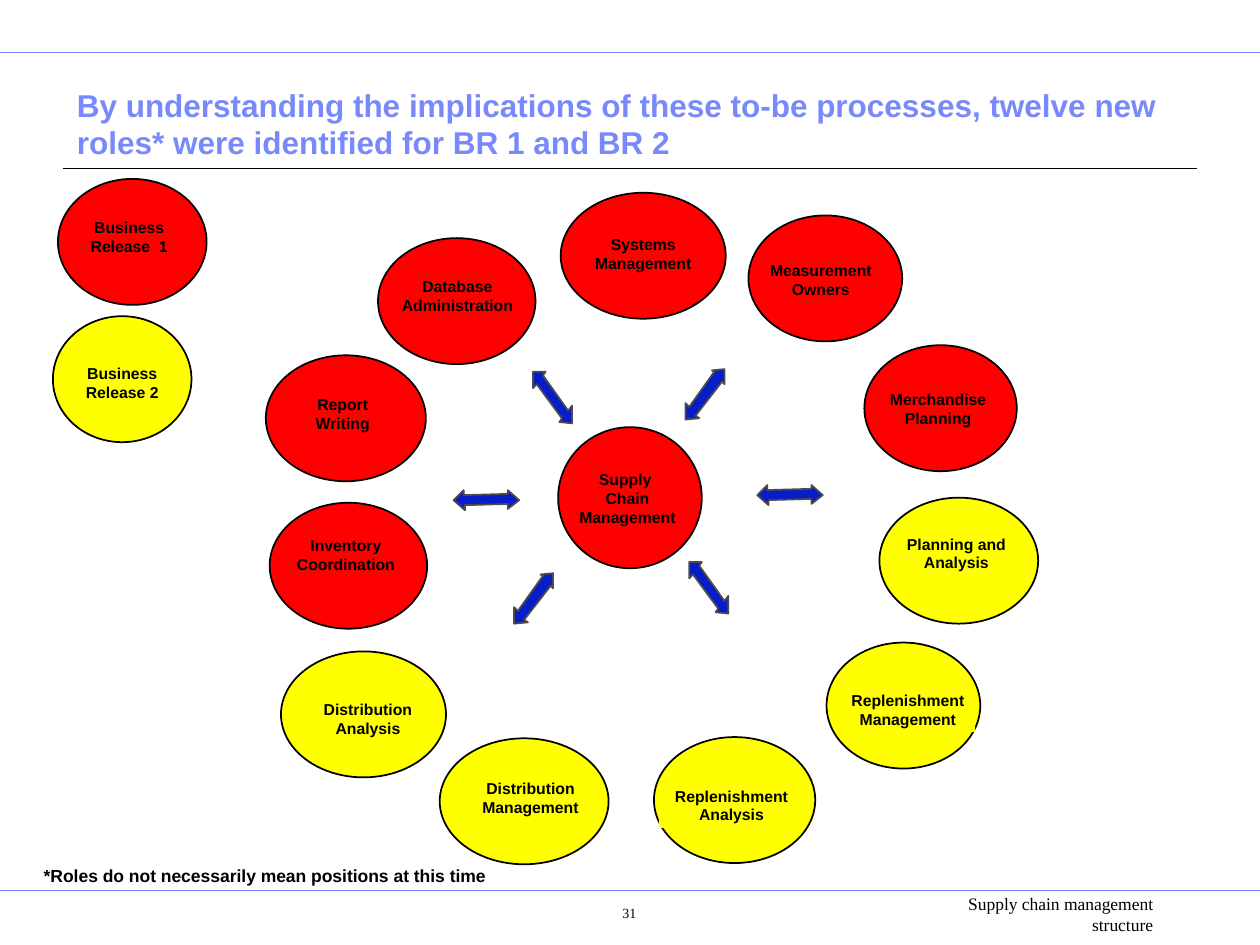
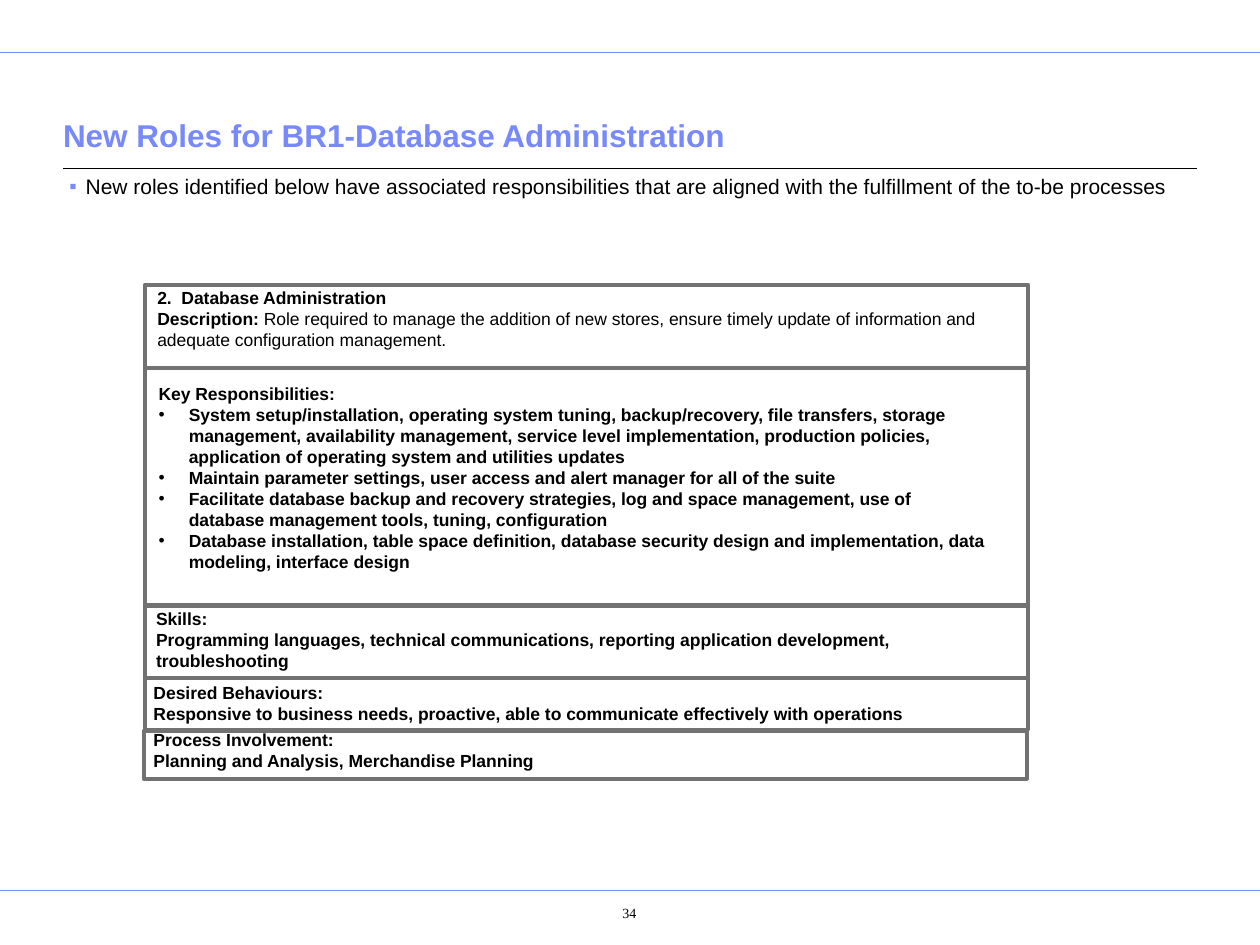
from dataclasses import dataclass
from typing import Any

from lxml import etree
from pptx import Presentation
from pptx.dml.color import RGBColor
from pptx.enum.shapes import MSO_CONNECTOR, MSO_SHAPE
from pptx.enum.text import MSO_ANCHOR, MSO_AUTO_SIZE, PP_ALIGN
from pptx.oxml.ns import qn
from pptx.util import Inches, Pt

PERIWINKLE = RGBColor(0x78, 0x89, 0xFB)
BLACK = RGBColor(0x00, 0x00, 0x00)
RED = RGBColor(0xFF, 0x00, 0x00)
YELLOW = RGBColor(0xFF, 0xFF, 0x00)
ARROW_BLUE = RGBColor(0x06, 0x1D, 0xC8)
ARROW_EDGE = RGBColor(0x4C, 0x4C, 0x4C)
FRAME_GRAY = RGBColor(0x72, 0x72, 0x72)

SANS, SERIF = "Arial", "Times New Roman"
TITLE_FONT = {"name": SANS, "size": Pt(18), "bold": True, "color": PERIWINKLE}
LEAD_FONT = {"name": SANS, "size": Pt(12), "bold": False, "color": BLACK}
ROLE_FONT = {"name": SANS, "size": Pt(9), "bold": True, "color": BLACK}
DETAIL_FONT = {"name": SANS, "size": Pt(10), "bold": True, "color": BLACK}
FOOTER_FONT = {"name": SERIF, "size": Pt(10), "bold": False, "color": BLACK}
NUMBER_FONT = {**FOOTER_FONT, "size": Pt(8)}

TITLE_ONLY, TITLE_AND_BODY = 5, 1
Box = tuple[float, float, float, float]
Point = tuple[float, float]


@dataclass(frozen=True)
class Rule:
    start: Point
    end: Point
    color: RGBColor
    weight: float


@dataclass(frozen=True)
class Role:
    lines: tuple[str, ...]
    color: RGBColor
    oval: Box
    caption: Box
    wrap: bool = True


@dataclass(frozen=True)
class Para:
    text: str
    lead: str = ""
    bold: bool = True
    bullet: bool = False


@dataclass(frozen=True)
class Section:
    frame: Box
    text_box: Box
    paras: tuple[Para, ...]
    wrap: bool = True


RULES = (
    Rule((0, 0.42), (10, 0.42), PERIWINKLE, 0.5),
    Rule((0, 7.07), (10, 7.07), PERIWINKLE, 0.5),
    Rule((0.5, 1.34), (9.5, 1.34), BLACK, 0.75),
)

ROLES = (
    Role(("Supply ", "Chain", "Management"), RED,
         (4.43, 3.39, 1.14, 1.12), (4.55, 3.71, 0.86, 0.5), wrap=False),
    Role(("Systems Management",), RED, (4.45, 1.53, 1.31, 1), (4.64, 1.84, 0.93, 0.35)),
    Role(("Measurement Owners",), RED, (5.94, 1.71, 1.22, 1), (6.05, 2.05, 0.93, 0.35)),
    Role(("Merchandise", "Planning"), RED, (6.86, 2.74, 1.21, 1), (6.99, 3.07, 0.91, 0.35)),
    Role(("Planning and Analysis",), YELLOW, (6.98, 3.95, 1.26, 1), (7.13, 4.22, 0.92, 0.35)),
    Role(("Replenishment Management",), YELLOW, (6.56, 5.1, 1.22, 1), (6.67, 5.46, 1.07, 0.35)),
    Role(("Replenishment Analysis",), YELLOW, (5.19, 5.85, 1.28, 1), (5.23, 6.22, 1.15, 0.35)),
    Role(("Distribution Management",), YELLOW, (3.49, 5.86, 1.34, 1), (3.77, 6.16, 0.88, 0.35)),
    Role(("Distribution Analysis",), YELLOW, (2.23, 5.17, 1.31, 1), (2.46, 5.53, 0.92, 0.35)),
    Role(("Inventory Coordination",), RED, (2.14, 3.99, 1.25, 1), (2.24, 4.23, 1.01, 0.35)),
    Role(("Report Writing",), RED, (2.11, 2.82, 1.27, 1), (2.37, 3.11, 0.7, 0.35)),
    Role(("Database Administration",), RED, (3, 1.89, 1.25, 1), (3.1, 2.18, 1.06, 0.35)),
    Role(("Business Release  1",), RED, (0.46, 1.42, 1.18, 1), (0.62, 1.71, 0.81, 0.35)),
    Role(("Business Release 2",), YELLOW, (0.42, 2.51, 1.1, 1), (0.62, 2.87, 0.7, 0.35)),
)

# Double-headed arrow outlines, in inches from their top left corner
FALLING = ((0.31, 0.41), (0.31, 0.27), (0.28, 0.31), (0.08, 0.03), (0.1, 0),
           (0, 0), (0, 0.13), (0.03, 0.1), (0.23, 0.37), (0.21, 0.4))
RISING = ((0, 0.4), (0, 0.27), (0.03, 0.3), (0.23, 0.02), (0.21, 0.01),
          (0.31, 0), (0.31, 0.12), (0.29, 0.1), (0.08, 0.37), (0.11, 0.39))
LEVEL = ((0, 0.08), (0.08, 0), (0.08, 0.04), (0.43, 0.03), (0.43, 0),
         (0.52, 0.08), (0.43, 0.15), (0.43, 0.11), (0.09, 0.12), (0.09, 0.16))
ARROWS = (
    (FALLING, (4.23, 2.95)), (FALLING, (5.47, 4.46)),
    (RISING, (5.44, 2.93)), (RISING, (4.08, 4.55)),
    (LEVEL, (6.01, 3.85)), (LEVEL, (3.6, 3.89)),
)

SECTIONS = (
    Section((1.15, 2.26, 7.01, 0.66), (1.15, 2.23, 7, 0.6), (
        Para("2.  Database Administration"),
        Para("Role required to manage the addition of new stores, ensure timely update of "
             "information and adequate configuration management.",
             lead="Description: ", bold=False),
    )),
    Section((1.15, 2.92, 7.01, 1.89), (1.16, 2.99, 6.79, 1.61), (
        Para("Key Responsibilities:"),
        Para("System setup/installation, operating system tuning, backup/recovery, file "
             "transfers, storage management, availability management, service level "
             "implementation, production policies, application of operating system and "
             "utilities updates", bullet=True),
        Para("Maintain parameter settings, user access and alert manager for all of the suite",
             bullet=True),
        Para("Facilitate database backup and recovery strategies, log and space management, "
             "use of database management tools, tuning, configuration", bullet=True),
        Para("Database installation, table space definition, database security design and "
             "implementation, data modeling, interface design", bullet=True),
    )),
    Section((1.15, 4.8, 7.01, 0.58), (1.14, 4.78, 7.01, 0.6), (
        Para("Skills:"),
        Para("Programming languages, technical communications, reporting application "
             "development, troubleshooting"),
    )),
    Section((1.15, 5.38, 7.01, 0.41), (1.12, 5.36, 6.14, 0.44), (
        Para("Desired Behaviours:"),
        Para("Responsive to business needs, proactive, able to communicate effectively "
             "with operations"),
    ), wrap=False),
    Section((1.14, 5.8, 7.01, 0.38), (1.12, 5.74, 3.26, 0.44), (
        Para("Process Involvement:"),
        Para("Planning and Analysis, Merchandise Planning"),
    ), wrap=False),
)


def inches(values) -> list:
    return [Inches(value) for value in values]


def set_values(target, values: dict[str, Any]) -> None:
    for key, value in values.items():
        setattr(target, key, value)


def set_frame(frame, insets: Box = (0.1, 0.05, 0.1, 0.05), wrap: bool = True,
              anchor=MSO_ANCHOR.TOP) -> None:
    """Set insets (left, top, right, bottom), wrapping and anchor."""
    sides = ("margin_left", "margin_top", "margin_right", "margin_bottom")
    set_values(frame, dict(zip(sides, inches(insets))))
    set_values(frame, {"word_wrap": wrap, "auto_size": MSO_AUTO_SIZE.NONE,
                       "vertical_anchor": anchor})


def add_run(paragraph, text: str, font: dict[str, Any]) -> None:
    run = paragraph.add_run()
    run.text = text
    for key, value in font.items():
        if key == "color":
            run.font.color.rgb = value
        else:
            setattr(run.font, key, value)


def next_paragraph(frame, index: int, align=PP_ALIGN.LEFT):
    paragraph = frame.add_paragraph() if index else frame.paragraphs[0]
    set_values(paragraph, {"alignment": align, "space_before": Pt(0)})
    return paragraph


def set_indent(paragraph, left: float, first: float) -> None:
    properties = paragraph._p.get_or_add_pPr()
    properties.set("marL", str(Inches(left)))
    properties.set("indent", str(Inches(first)))


def add_bullet(paragraph, mark: str, color: RGBColor, hang: float) -> None:
    set_indent(paragraph, hang, -hang)
    properties = paragraph._p.get_or_add_pPr()
    tint = etree.SubElement(properties, qn("a:buClr"))
    etree.SubElement(tint, qn("a:srgbClr")).set("val", str(color))
    etree.SubElement(properties, qn("a:buFont")).set("typeface", SANS)
    etree.SubElement(properties, qn("a:buChar")).set("char", mark)


def add_text(slide, box: Box, text: str, font: dict[str, Any], align, **frame_format):
    frame = slide.shapes.add_textbox(*inches(box)).text_frame
    set_frame(frame, **frame_format)
    paragraph = next_paragraph(frame, 0, align)
    add_run(paragraph, text, font)
    return paragraph


def paint(shape, fill: RGBColor | None, line: RGBColor | None, weight: float = 1) -> None:
    shape.shadow.inherit = False
    if fill is None:
        shape.fill.background()
    else:
        shape.fill.solid()
        shape.fill.fore_color.rgb = fill
    if line is None:
        shape.line.fill.background()
    else:
        shape.line.color.rgb = line
        shape.line.width = Pt(weight)


def place(placeholder, box: Box) -> None:
    set_values(placeholder, dict(zip(("left", "top", "width", "height"), inches(box))))


def add_rule(slide, rule: Rule) -> None:
    line = slide.shapes.add_connector(MSO_CONNECTOR.STRAIGHT, *inches(rule.start + rule.end))
    line.line.color.rgb = rule.color
    line.line.width = Pt(rule.weight)
    etree.SubElement(line._element.spPr, qn("a:effectLst"))


def start_slide(deck, layout: int, title: str, title_box: Box, number: int):
    """Add a slide with the shared rules, title and page number."""
    slide = deck.slides.add_slide(deck.slide_layouts[layout])
    for rule in RULES:
        add_rule(slide, rule)
    heading = slide.shapes.title
    place(heading, title_box)
    set_frame(heading.text_frame, (0, 0.05, 0, 0.05), anchor=MSO_ANCHOR.BOTTOM)
    add_run(next_paragraph(heading.text_frame, 0), title, TITLE_FONT)
    page = add_text(slide, (4.27, 7.11, 1.15, 0.35), str(number), NUMBER_FONT,
                    PP_ALIGN.CENTER, insets=(0.16, 0.07, 0.1, 0.05))
    set_indent(page, 0.24, 0)
    return slide


def add_role(slide, role: Role) -> None:
    oval = slide.shapes.add_shape(MSO_SHAPE.OVAL, *inches(role.oval))
    paint(oval, role.color, BLACK)
    caption = slide.shapes.add_shape(MSO_SHAPE.RECTANGLE, *inches(role.caption))
    paint(caption, role.color, None)
    set_frame(caption.text_frame, (0.05, 0.02, 0.05, 0.02), role.wrap)
    for index, line in enumerate(role.lines):
        add_run(next_paragraph(caption.text_frame, index, PP_ALIGN.CENTER), line, ROLE_FONT)


def add_arrow(slide, outline: tuple[Point, ...], corner: Point) -> None:
    points = [(Inches(corner[0] + x), Inches(corner[1] + y)) for x, y in outline]
    builder = slide.shapes.build_freeform(*points[0])
    builder.add_line_segments(points[1:], close=True)
    paint(builder.convert_to_shape(), ARROW_BLUE, ARROW_EDGE)


def add_section(slide, section: Section) -> None:
    border = slide.shapes.add_shape(MSO_SHAPE.RECTANGLE, *inches(section.frame))
    paint(border, None, FRAME_GRAY, 2.25)
    frame = slide.shapes.add_textbox(*inches(section.text_box)).text_frame
    set_frame(frame, wrap=section.wrap)
    for index, para in enumerate(section.paras):
        paragraph = next_paragraph(frame, index)
        if para.bullet:
            add_bullet(paragraph, "•", BLACK, 0.24)
        if para.lead:
            add_run(paragraph, para.lead, DETAIL_FONT)
        add_run(paragraph, para.text, {**DETAIL_FONT, "bold": para.bold})


def build_role_map(deck) -> None:
    slide = start_slide(
        deck, TITLE_ONLY,
        "By understanding the implications of these to-be processes, twelve new roles* "
        "were identified for BR 1 and BR 2", (0.61, 0.7, 9, 0.63), 31)
    for role in ROLES:
        add_role(slide, role)
    for outline, corner in ARROWS:
        add_arrow(slide, outline, corner)
    add_text(slide, (0.25, 6.82, 3.7, 0.27),
             "*Roles do not necessarily mean positions at this time",
             DETAIL_FONT, PP_ALIGN.CENTER, wrap=False)
    add_text(slide, (7.08, 7.04, 2.17, 0.43), "Supply chain management structure",
             FOOTER_FONT, PP_ALIGN.RIGHT)


def build_role_profile(deck) -> None:
    slide = start_slide(deck, TITLE_AND_BODY, "New Roles for BR1-Database Administration",
                        (0.5, 0.64, 9, 0.63), 34)
    body = slide.placeholders[1]
    place(body, (0.5, 1.32, 9, 5.51))
    set_frame(body.text_frame, (0.05, 0.05, 0.05, 0.05))
    intro = next_paragraph(body.text_frame, 0)
    add_bullet(intro, "▪", PERIWINKLE, 0.13)
    intro.line_spacing = 1.04
    add_run(intro, "New roles identified below have associated responsibilities that are "
                   "aligned with the fulfillment of the to-be processes", LEAD_FONT)
    for section in SECTIONS:
        add_section(slide, section)


def main() -> None:
    deck = Presentation()
    set_values(deck, {"slide_width": Inches(10), "slide_height": Inches(7.5)})
    build_role_map(deck)
    build_role_profile(deck)
    deck.save("out.pptx")


if __name__ == "__main__":
    main()
